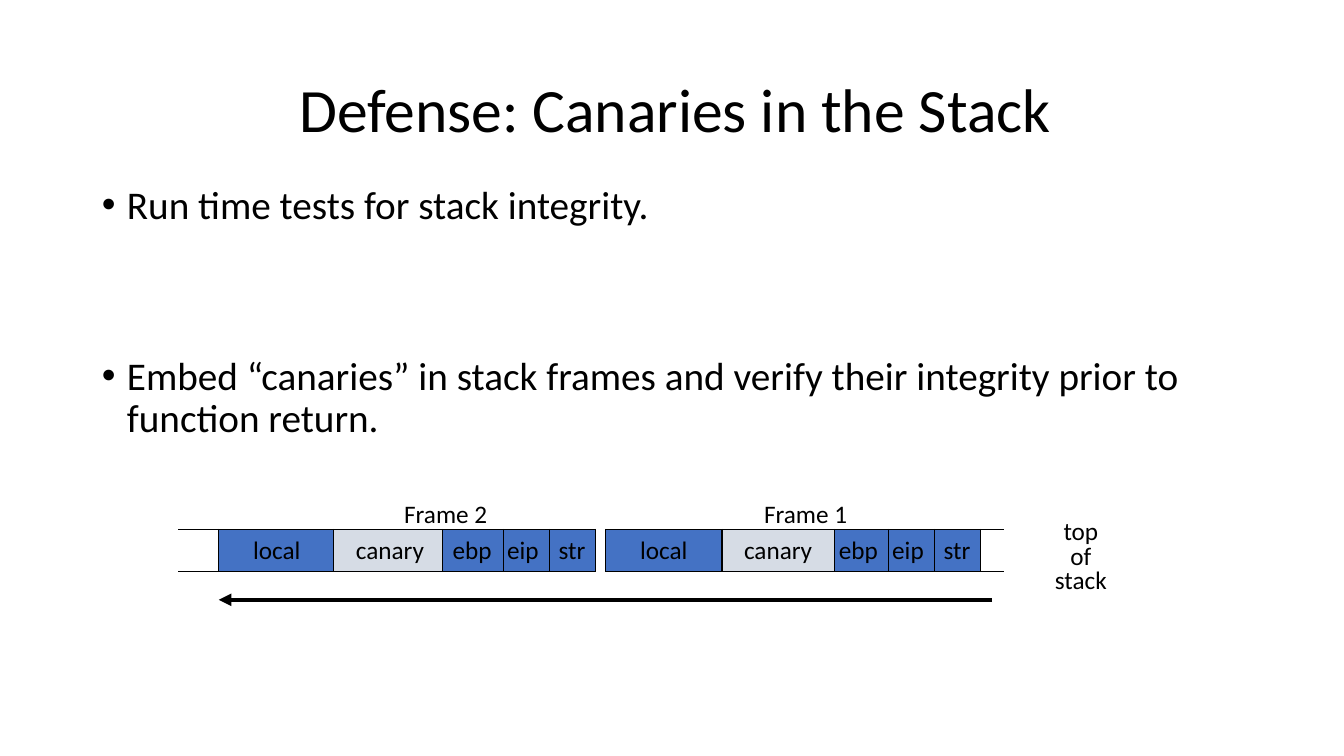
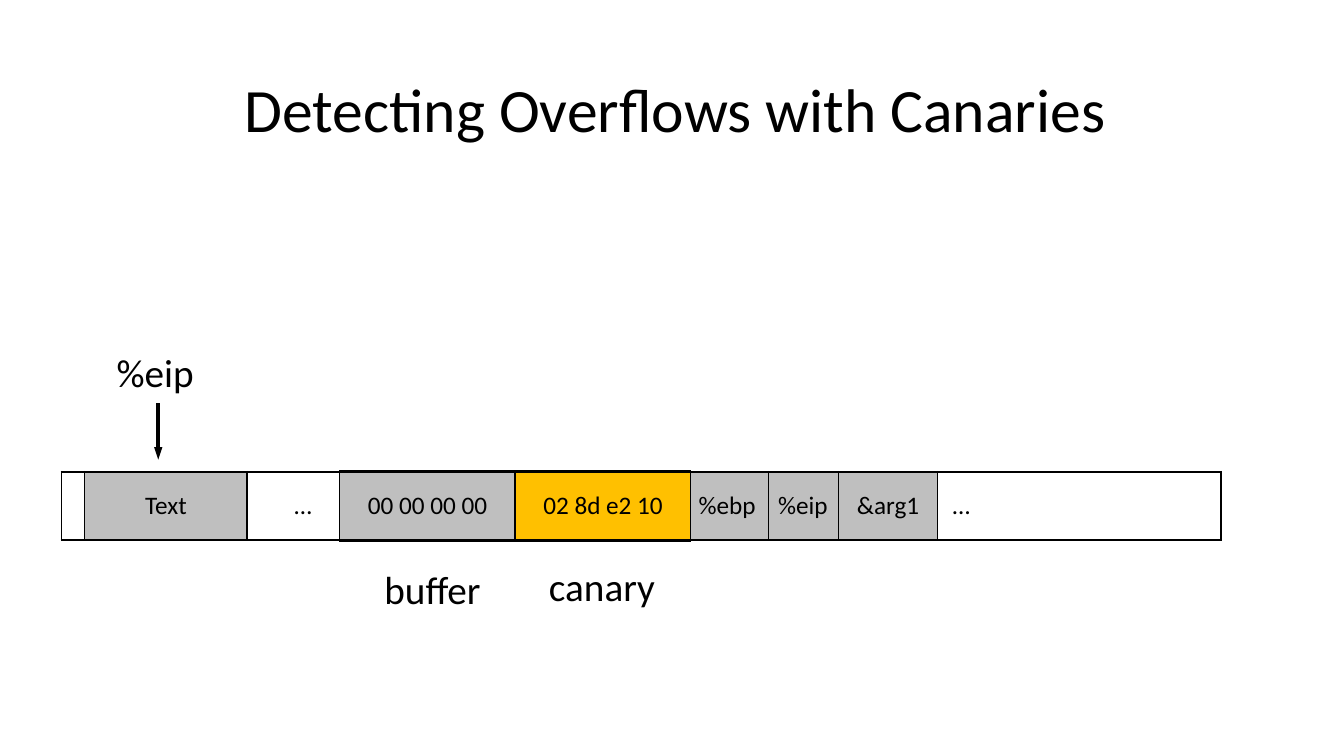
from typing import NamedTuple

from lxml.etree import SubElement
from pptx import Presentation
from pptx.dml.color import RGBColor
from pptx.enum.shapes import MSO_CONNECTOR as Connector
from pptx.enum.text import MSO_ANCHOR as Anchor, PP_ALIGN as Align
from pptx.oxml.ns import qn
from pptx.util import Inches, Pt

COLORS = {
    "black": "000000",
    "blue": "4472C4",
    "pale": "D6DCE5",
    "gray": "BFBFBF",
    "amber": "FFC000",
}
FONT = "Calibri"
SIDES = {"left": "a:lnL", "right": "a:lnR", "top": "a:lnT", "bottom": "a:lnB"}
FRAME_EDGES = dict.fromkeys(SIDES, 0.75)
MEMORY_EDGES = {"left": 1, "right": 1, "top": 1.5, "bottom": 1.5}
HEAVY_EDGES = {"top": 2.25, "bottom": 2.25}


class Cell(NamedTuple):
    """One cell of a memory row; edges override the row's line widths."""
    text: str
    width: float
    fill: str = ""
    indent: float = 0
    edges: dict = {}


def style(para, size):
    """Format a paragraph's runs in the deck's font."""
    for span in para.runs:
        span.font.name = FONT
        span.font.size = Pt(size)
        span.font.color.rgb = RGBColor.from_string(COLORS["black"])


def add_text(page, left, top, width, height, paragraphs, size, align=Align.LEFT):
    """Add a wrapping text box without margins and return its paragraphs."""
    box = page.shapes.add_textbox(*map(Inches, (left, top, width, height)))
    frame = box.text_frame
    frame.word_wrap = True
    frame.margin_left = frame.margin_right = 0
    frame.margin_top = frame.margin_bottom = 0
    frame.text = "\n".join(paragraphs)
    for para in frame.paragraphs:
        para.alignment = align
        style(para, size)
    return frame.paragraphs


def add_label(page, center, top, text, size, width=1.4):
    """Add a caption centred on a horizontal position."""
    return add_text(page, center - width / 2, top, width, size / 60,
                    [text], size, Align.CENTER)


def add_page(deck, title):
    """Add a blank slide with the shared title."""
    page = deck.slides.add_slide(deck.slide_layouts[6])
    add_label(page, 6.7, 0.7, title, 44, 11.34)
    return page


def add_bullets(page, left, top, width, height, items):
    """Add a bulleted list with wide gaps between its items."""
    for index, para in enumerate(add_text(page, left, top, width, height, items, 28)):
        props = para._p.get_or_add_pPr()
        props.set("marL", str(Inches(0.26)))
        props.set("indent", str(-Inches(0.25)))
        para.line_spacing = Pt(30)
        if index:
            para.space_before = Pt(92)
        SubElement(props, qn("a:buFont"), typeface="Arial")
        SubElement(props, qn("a:buChar"), char="•")


def set_edges(cell, edges):
    """Draw the cell's borders, leaving out those of zero width."""
    props = cell._tc.get_or_add_tcPr()
    for side, tag in SIDES.items():
        line = SubElement(props, qn(tag), w=str(Pt(edges[side])))
        if edges[side]:
            fill = SubElement(line, qn("a:solidFill"))
            SubElement(fill, qn("a:srgbClr"), val=COLORS["black"])
        else:
            SubElement(line, qn("a:noFill"))


def add_memory_row(page, left, top, height, cells, edges):
    """Add a one-row table of memory cells."""
    width = sum(cell.width for cell in cells)
    table = page.shapes.add_table(
        1, len(cells), *map(Inches, (left, top, width, height))).table
    table.first_row = table.horz_banding = False
    for column, (item, cell) in enumerate(zip(cells, table.rows[0].cells)):
        table.columns[column].width = Inches(item.width)
        set_edges(cell, {**edges, **item.edges})
        if item.fill:
            cell.fill.solid()
            cell.fill.fore_color.rgb = RGBColor.from_string(COLORS[item.fill])
        else:
            cell.fill.background()
        cell.margin_left = Inches(item.indent)
        cell.margin_right = cell.margin_top = cell.margin_bottom = 0
        cell.vertical_anchor = Anchor.MIDDLE
        cell.text = item.text
        style(cell.text_frame.paragraphs[0], 18)


def add_arrow(page, start, end, head_width="med"):
    """Add a thick black arrow from start to end."""
    arrow = page.shapes.add_connector(Connector.STRAIGHT, *map(Inches, start + end))
    arrow.line.width = Pt(3)
    arrow.line.color.rgb = RGBColor.from_string(COLORS["black"])
    SubElement(arrow.line._get_or_add_ln(), qn("a:tailEnd"),
               type="triangle", w=head_width, len="med")
    SubElement(arrow._element.spPr, qn("a:effectLst"))


def add_stack(page, left, top):
    """Draw two stack frames, their captions and the growth arrow."""
    saved = [Cell("eip", 0.46, "blue", 0.04), Cell("str", 0.46, "blue", 0.09)]
    frame_two = [
        Cell("", 0.4, edges={"left": 0}),
        Cell("local", 1.14, "blue", 0.34),
        Cell("canary", 1.08, "pale", 0.22),
        Cell("ebp", 0.6, "blue", 0.1),
        *saved,
    ]
    frame_one = [
        Cell("local", 1.15, "blue", 0.34, {"right": 1.5}),
        Cell("canary", 1.12, "pale", 0.22, {"left": 1.5}),
        Cell("ebp", 0.53, "blue", 0.04),
        *saved,
        Cell("", 0.23, edges={"right": 0}),
    ]
    frames = [("Frame 2", 0, 2.65, frame_two), ("Frame 1", 4.24, 6.22, frame_one)]
    for caption, offset, center, cells in frames:
        add_memory_row(page, left + offset, top, 0.42, cells, FRAME_EDGES)
        add_label(page, left + center, top - 0.31, caption, 18)
    add_label(page, left + 8.95, top - 0.08, "top of stack", 18, 0.58)[0].line_spacing = 0.81
    add_arrow(page, (left + 8.07, top + 0.7), (left + 0.4, top + 0.7))


def add_memory(page, left, top):
    """Draw the memory strip with its pointer and captions."""
    cells = [
        Cell("", 0.23, edges={"left": 1.5}),
        Cell("Text", 1.61, "gray", 0.6),
        Cell("…", 0.92, indent=0.47),
        Cell("00 00 00 00", 1.74, "gray", 0.28, {**HEAVY_EDGES, "right": 1.5}),
        Cell("02 8d e2 10", 1.74, "amber", 0.28, {**HEAVY_EDGES, "left": 1.5}),
        Cell("%ebp", 0.77, "gray", 0.08),
        Cell("%eip", 0.7, "gray", 0.1),
        Cell("&arg1", 0.98, "gray", 0.18),
        Cell("…", 2.81, indent=0.15, edges={"right": 1.5}),
    ]
    add_memory_row(page, left, top, 0.68, cells, MEMORY_EDGES)
    captions = [("buffer", 3.68, 0.93), ("canary", 5.36, 0.9), ("%eip", 0.93, -1.22)]
    for text, center, offset in captions:
        add_label(page, left + center, top + offset, text, 28)
    add_arrow(page, (left + 0.96, top - 0.68), (left + 0.96, top - 0.12), "sm")


def main():
    """Build and save the deck."""
    deck = Presentation()
    deck.slide_width, deck.slide_height = Inches(13.33), Inches(7.5)

    page = add_page(deck, "Defense: Canaries in the Stack")
    add_bullets(page, 1, 1.84, 10.8, 2.55, [
        "Run time tests for stack integrity.",
        "Embed “canaries” in stack frames and verify their integrity "
        "prior to function return.",
    ])
    add_stack(page, 1.77, 5.25)

    page = add_page(deck, "Detecting Overflows with Canaries")
    add_memory(page, 0.61, 4.68)
    deck.save("out.pptx")


if __name__ == "__main__":
    main()
